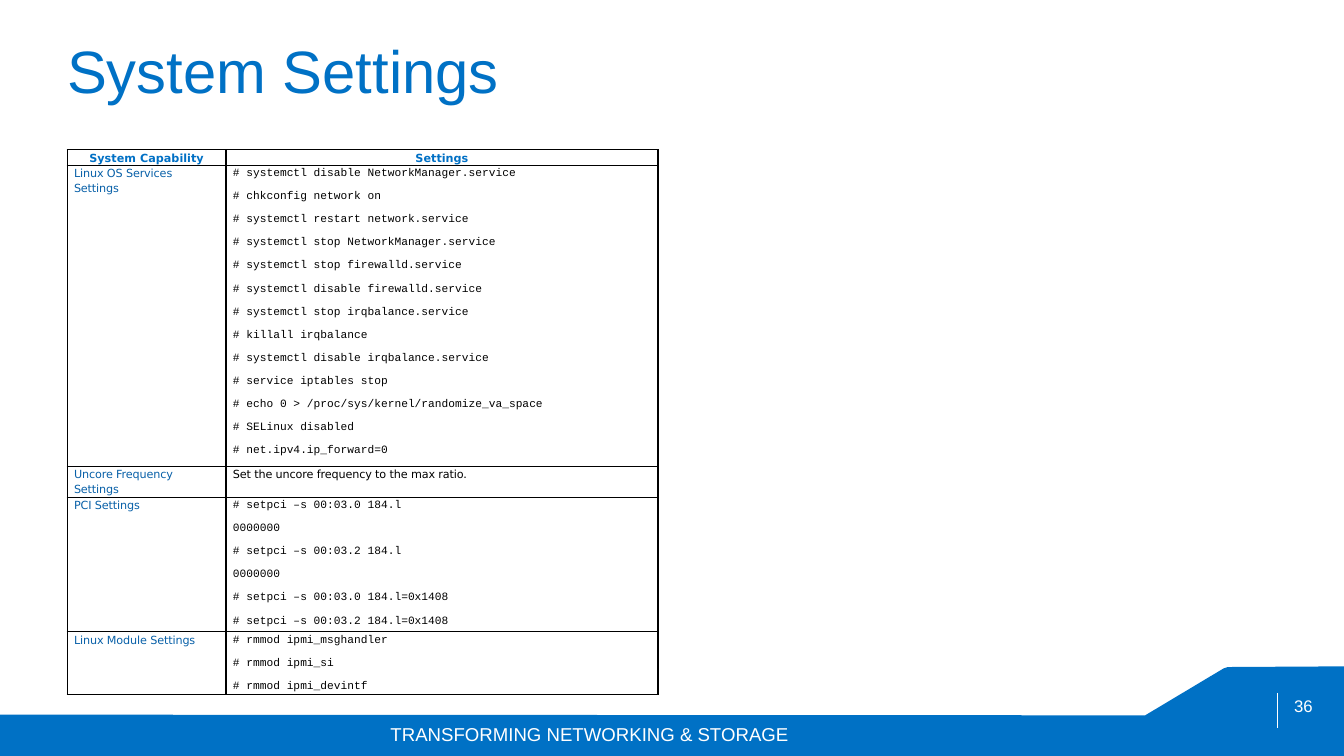
from lxml.etree import SubElement
from pptx import Presentation
from pptx.dml.color import RGBColor
from pptx.enum.shapes import MSO_CONNECTOR as Connector
from pptx.enum.text import MSO_ANCHOR as Anchor, PP_ALIGN as Align
from pptx.oxml.ns import qn
from pptx.util import Pt

BLUE, HEADER_BLUE, LABEL_BLUE = "0071C5", "0070C5", "0860A8"
WHITE, BLACK = "FFFFFF", "000000"
SANS, CODE, BODY = "Arial", "Courier New", "DejaVu Sans"
WIDTH, HEIGHT = 960, 540

SETTINGS = [
    ("Linux OS Services Settings", CODE, 208, [
        "# systemctl disable NetworkManager.service",
        "# chkconfig network on",
        "# systemctl restart network.service",
        "# systemctl stop NetworkManager.service",
        "# systemctl stop firewalld.service",
        "# systemctl disable firewalld.service",
        "# systemctl stop irqbalance.service",
        "# killall irqbalance",
        "# systemctl disable irqbalance.service",
        "# service iptables stop",
        "# echo 0 > /proc/sys/kernel/randomize_va_space",
        "# SELinux disabled",
        "# net.ipv4.ip_forward=0",
    ]),
    ("Uncore Frequency Settings", BODY, 21, [
        "Set the uncore frequency to the max ratio.",
    ]),
    ("PCI Settings", CODE, 93, [
        "# setpci –s 00:03.0 184.l",
        "0000000",
        "# setpci –s 00:03.2 184.l",
        "0000000",
        "# setpci –s 00:03.0 184.l=0x1408",
        "# setpci –s 00:03.2 184.l=0x1408",
    ]),
    ("Linux Module Settings", CODE, 43, [
        "# rmmod ipmi_msghandler",
        "# rmmod ipmi_si",
        "# rmmod ipmi_devintf",
    ]),
]


def color(value):
    return RGBColor.from_string(value)


def style(paragraph, name, size, value, bold=False, align=Align.LEFT):
    paragraph.alignment = align
    font = paragraph.font
    font.name, font.size, font.bold = name, Pt(size), bold
    font.color.rgb = color(value)


def set_margins(frame, side=0, edge=0):
    frame.margin_left = frame.margin_right = Pt(side)
    frame.margin_top = frame.margin_bottom = Pt(edge)


def add_label(slide, box, text, size, side=0, edge=0):
    frame = slide.shapes.add_textbox(*map(Pt, box)).text_frame
    frame.word_wrap = True
    frame.vertical_anchor = Anchor.MIDDLE
    set_margins(frame, side, edge)
    paragraph = frame.paragraphs[0]
    paragraph.text = text
    style(paragraph, SANS, size, WHITE, align=Align.CENTER)


def add_footer(slide, box):
    left, top, width, height = box
    right, bottom = left + width, top + height
    band_top = top + 35
    builder = slide.shapes.build_freeform(Pt(right), Pt(top))
    builder.add_line_segments([
        (Pt(x), Pt(y)) for x, y in [
            (right - 83, top + 0.5), (right - 86, top + 1.5),
            (right - 142, band_top), (left, band_top - 0.5),
            (left, bottom), (right, bottom),
        ]
    ])
    band = builder.convert_to_shape()
    band.shadow.inherit = False
    band.fill.solid()
    band.fill.fore_color.rgb = color(BLUE)
    band.line.fill.background()

    divider_x = right - 48
    divider = slide.shapes.add_connector(
        Connector.STRAIGHT,
        Pt(divider_x), Pt(top + 19), Pt(divider_x), Pt(top + 44))
    divider.line.color.rgb = color(WHITE)
    divider.line.width = Pt(0.25)
    SubElement(divider._element.spPr, qn("a:effectLst"))

    add_label(slide, (left + 175, top + 36.5, 492.5, 24),
              "TRANSFORMING NETWORKING & STORAGE", 13.3, 7.2, 3.6)
    add_label(slide, (divider_x, top + 21, 38, 14.4), "36", 12)


def add_title(slide, box):
    title = slide.shapes.title
    title.left, title.top, title.width, title.height = map(Pt, box)
    frame = title.text_frame
    set_margins(frame)
    frame.vertical_anchor = Anchor.MIDDLE
    paragraph = frame.paragraphs[0]
    paragraph.text = "System Settings"
    style(paragraph, SANS, 42.7, BLUE)


def add_borders(cell):
    properties = cell._tc.get_or_add_tcPr()
    for side in "LRTB":
        line = SubElement(properties, qn(f"a:ln{side}"), w=str(Pt(1)))
        fill = SubElement(line, qn("a:solidFill"))
        SubElement(fill, qn("a:srgbClr"), val=BLACK)


def fill_cell(cell, lines, name, value, header=False):
    add_borders(cell)
    cell.fill.solid()
    cell.fill.fore_color.rgb = color(WHITE)
    set_margins(cell, 4.9)
    cell.text = "\n".join(lines)
    for index, paragraph in enumerate(cell.text_frame.paragraphs):
        paragraph.line_spacing = 1.15
        paragraph.space_before = Pt(3 if index else 0)
        paragraph.space_after = Pt(3)
        style(paragraph, name, 8, value, header,
              Align.CENTER if header else Align.LEFT)
        if name == BODY and not header:
            paragraph.runs[0]._r.get_or_add_rPr().set("spc", "-10")


def add_settings_table(slide, box):
    table = slide.shapes.add_table(
        len(SETTINGS) + 1, 2, *map(Pt, box)).table
    table.first_row = table.horz_banding = False
    label_width = 113.5
    table.columns[0].width = Pt(label_width)
    table.columns[1].width = Pt(box[2] - label_width)

    table.rows[0].height = Pt(10)
    for column, text in enumerate(["System Capability", "Settings"]):
        fill_cell(table.cell(0, column), [text], BODY, HEADER_BLUE, True)
    for row, (label, name, height, lines) in enumerate(SETTINGS, 1):
        table.rows[row].height = Pt(height)
        fill_cell(table.cell(row, 0), [label], BODY, LABEL_BLUE)
        fill_cell(table.cell(row, 1), lines, name, BLACK)


def main():
    presentation = Presentation()
    presentation.slide_width = Pt(WIDTH)
    presentation.slide_height = Pt(HEIGHT)
    slide = presentation.slides.add_slide(presentation.slide_layouts[5])
    add_footer(slide, (0, 476, WIDTH, HEIGHT - 476))
    add_title(slide, (48, 16.5, 864, 67))
    add_settings_table(slide, (48, 107, 422, 375))
    presentation.save("out.pptx")


if __name__ == "__main__":
    main()
